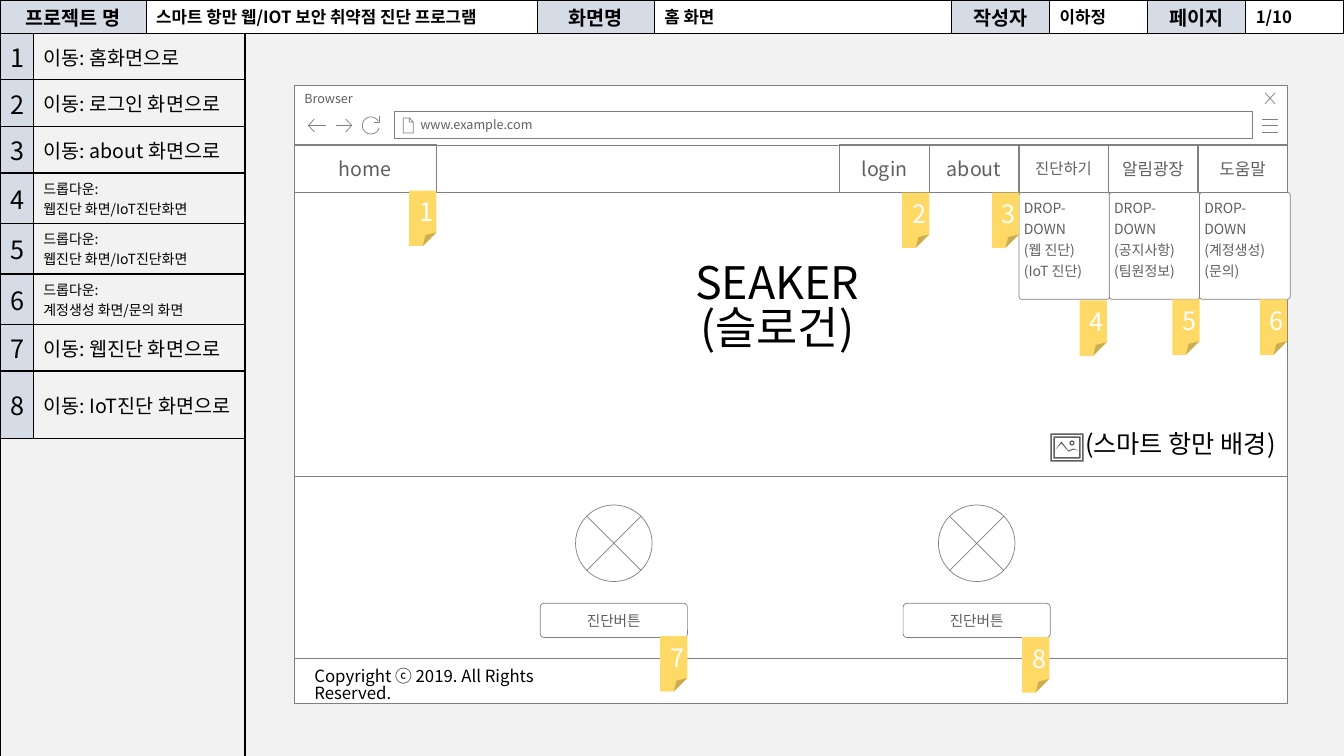
"""Build the home screen wireframe slide of a storyboard deck."""
import math
from dataclasses import dataclass
from typing import NamedTuple
import lxml.etree
import pptx
import pptx.dml.color, pptx.dml.fill, pptx.enum.shapes, pptx.enum.text, pptx.oxml.ns
import pptx.shapes.autoshape, pptx.slide, pptx.table, pptx.text.text, pptx.util

COLUMNS, ROWS = 133.33, 75
CELL = pptx.util.Inches(0.1)
Point = tuple[float, float]
SHAPES = pptx.enum.shapes.MSO_SHAPE
ALIGN = pptx.enum.text.PP_ALIGN
ANCHOR = pptx.enum.text.MSO_ANCHOR
qn = pptx.oxml.ns.qn

@dataclass(frozen=True)
class Theme:
    font: str = "Noto Sans CJK KR"
    black: str = "000000"
    white: str = "FFFFFF"
    page: str = "F2F2F2"
    label: str = "D6DCE5"
    note: str = "FFD966"
    outline: str = "808080"
    muted: str = "5F5F5F"
    hero: float = 32
    large: float = 18
    medium: float = 14
    body: float = 12
    menu: float = 11
    button: float = 10.5
    small: float = 10
    tiny: float = 9
    hairline: float = 0.5
    border: float = 1

THEME = Theme()

class Box(NamedTuple):
    left: float
    top: float
    width: float
    height: float

class Style(NamedTuple):
    size: float
    color: str = THEME.muted
    align: ALIGN = ALIGN.CENTER
    anchor: ANCHOR = ANCHOR.MIDDLE
    insets: tuple[float, float, float, float] = (1, 0.5, 1, 0.5)
    spacing: float = 1
    bold: bool = False

class Label(NamedTuple):
    text: str
    size: float

NAVIGATION = [Label("login", THEME.medium), Label("about", THEME.medium), Label("진단하기", THEME.menu),
              Label("알림광장", THEME.body), Label("도움말", THEME.body)]
MENUS = ["(웹 진단)\n(IoT 진단)", "(공지사항)\n(팀원정보)", "(계정생성)\n(문의)"]
NOTES = [(40.6, 18.9), (89.5, 19.1), (98.4, 19.1), (107.1, 29.8), (116.3, 29.7), (125, 29.7), (65.5, 63.1), (101.4, 63.2)]
ACTIONS = [Label("이동: 홈화면으로", THEME.medium), Label("이동: 로그인 화면으로", THEME.medium),
           Label("이동: about 화면으로", THEME.medium),
           *[Label("드롭다운:\v웹진단 화면/IoT진단화면", THEME.small)] * 2,
           Label("드롭다운:\v계정생성 화면/문의 화면", THEME.small),
           Label("이동: 웹진단 화면으로", THEME.medium), Label("이동: IoT진단 화면으로", THEME.medium)]
HEADINGS = ["프로젝트 명", "스마트 항만 웹/IOT 보안 취약점 진단 프로그램", "화면명", "홈 화면",
            "작성자", "이하정", "페이지", "1/10"]

def cells(count: float) -> int:
    return round(count * CELL)

def paint(fill: pptx.dml.fill.FillFormat, color: str | None) -> None:
    if color is None:
        fill.background()
    else:
        fill.solid()
        fill.fore_color.rgb = pptx.dml.color.RGBColor.from_string(color)

def write(frame: pptx.text.text.TextFrame, text: str, style: Style) -> None:
    frame.text = text
    for paragraph in frame.paragraphs:
        paragraph.alignment, paragraph.line_spacing = style.align, style.spacing
        font = paragraph.font
        font.size, font.bold, font.name = pptx.util.Pt(style.size), style.bold, THEME.font
        paint(font.fill, style.color)
        lxml.etree.SubElement(paragraph._p.pPr.find(qn("a:defRPr")), qn("a:ea"), typeface=THEME.font)

def write_framed(frame: pptx.text.text.TextFrame, text: str, style: Style) -> None:
    frame.word_wrap, frame.vertical_anchor = True, style.anchor
    frame.margin_left, frame.margin_top, frame.margin_right, frame.margin_bottom = map(cells, style.insets)
    write(frame, text, style)

def finish(shape: pptx.shapes.autoshape.Shape, fill: str | None, line: str | None, weight: float) -> None:
    shape.shadow.inherit = False
    paint(shape.fill, fill)
    paint(shape.line.fill, line)
    if line:
        shape.line.width = pptx.util.Pt(weight)

def add_block(slide: pptx.slide.Slide, box: Box, text: str = "", style: Style | None = None,
              fill: str | None = THEME.white, line: str | None = THEME.outline,
              kind: SHAPES = SHAPES.RECTANGLE, corner: float | None = None) -> None:
    shape = slide.shapes.add_shape(kind, *map(cells, box))
    finish(shape, fill, line, THEME.hairline)
    if corner is not None:
        shape._element.spPr.prstGeom.rewrite_guides([("adj", round(corner * 100000))])
    if style:
        write_framed(shape.text_frame, text, style)

def add_caption(slide: pptx.slide.Slide, box: Box, text: str, size: float, align: ALIGN = ALIGN.CENTER) -> None:
    style = Style(size, THEME.black, align, ANCHOR.TOP, spacing=0.83)
    write_framed(slide.shapes.add_textbox(*map(cells, box)).text_frame, text, style)

def add_rule(slide: pptx.slide.Slide, start: Point, end: Point) -> None:
    connector = slide.shapes.add_connector(pptx.enum.shapes.MSO_CONNECTOR.STRAIGHT, *map(cells, start + end))
    paint(connector.line.fill, THEME.outline)
    connector.line.width = pptx.util.Pt(THEME.hairline)
    lxml.etree.SubElement(connector._element.spPr, qn("a:effectLst"))

def add_icon(slide: pptx.slide.Slide, strokes: list[list[Point]], fill: str | None = None) -> None:
    contours = [[(cells(x), cells(y)) for x, y in stroke] for stroke in strokes]
    builder = slide.shapes.build_freeform(*contours[0][0])
    for index, contour in enumerate(contours):
        if index:
            builder.move_to(*contour[0])
        builder.add_line_segments(contour[1:], close=fill is not None)
    finish(builder.convert_to_shape(), fill, None if fill else THEME.outline, THEME.hairline)

def arc(x: float, y: float, radius: float, start: int, end: int) -> list[Point]:
    angles = map(math.radians, range(start, end + 1, 15))
    return [(x + radius * math.cos(angle), y + radius * math.sin(angle)) for angle in angles]

def add_grid(slide: pptx.slide.Slide, box: Box, widths: list[float], heights: list[float]) -> pptx.table.Table:
    table = slide.shapes.add_table(len(heights), len(widths), *map(cells, box)).table
    table.first_row = table.horz_banding = False
    for column, width in zip(table.columns, widths):
        column.width = cells(width)
    for row, height in zip(table.rows, heights):
        row.height = cells(height)
    return table

def fill_cell(cell: pptx.table._Cell, text: str, fill: str, style: Style) -> None:
    paint(cell.fill, fill)
    cell.vertical_anchor = style.anchor
    cell.margin_top = cell.margin_bottom = cells(style.insets[1])
    for index, side in enumerate(("a:lnL", "a:lnR", "a:lnT", "a:lnB")):
        border = lxml.etree.Element(qn(side), w=str(pptx.util.Pt(THEME.border)))
        lxml.etree.SubElement(lxml.etree.SubElement(border, qn("a:solidFill")), qn("a:srgbClr"), val=THEME.black)
        cell._tc.get_or_add_tcPr().insert(index, border)
    if text:
        write(cell.text_frame, text, style)

def draw_tables(slide: pptx.slide.Slide) -> None:
    heights = [4.5 if action.size == THEME.small else 4.2 for action in ACTIONS] + [37.1]
    table = add_grid(slide, Box(0, 3.3, 24.3, 71.5), [3.3, 21], heights)
    for row, action in enumerate(ACTIONS):
        fill_cell(table.cell(row, 0), str(row + 1), THEME.label, Style(THEME.large, THEME.black, ALIGN.LEFT))
        fill_cell(table.cell(row, 1), action.text, THEME.page, Style(action.size, THEME.black, ALIGN.LEFT))
    table.cell(len(ACTIONS), 0).merge(table.cell(len(ACTIONS), 1))
    for column in range(2):
        fill_cell(table.cell(len(ACTIONS), column), "", THEME.page, Style(THEME.large))
    table = add_grid(slide, Box(0, 0, COLUMNS, 3.3), [14.5, 38.8, 11.6, 29.5] + [9.73] * 4, [3.3])
    looks = [(THEME.label, THEME.medium, ALIGN.CENTER), (THEME.white, THEME.body, ALIGN.LEFT)]
    for index, heading in enumerate(HEADINGS):
        fill, size, align = looks[index % 2]
        fill_cell(table.cell(0, index), heading, fill,
                  Style(size, THEME.black, align, insets=(1, 0.2, 1, 0.2), bold=True))

def draw_browser(slide: pptx.slide.Slide) -> None:
    add_block(slide, Box(29.2, 14.3, 98.5, 55.5))
    add_block(slide, Box(29.2, 8.5, 98.5, 5.9), "Browser", Style(THEME.tiny, align=ALIGN.LEFT, anchor=ANCHOR.TOP))
    add_block(slide, Box(39.1, 11.1, 85.1, 2.6), "www.example.com",
              Style(THEME.tiny, align=ALIGN.LEFT, insets=(2.6, 0.5, 1, 0.5)))
    add_icon(slide, [[(125.2, y), (126.8, y)] for y in (11.8, 12.45, 13.1)])
    add_icon(slide, [[(125.5, 9.2), (126.5, 10.3)], [(126.5, 9.2), (125.5, 10.3)]])
    add_icon(slide, [[(40.6, 11.7), (40.6, 12.1), (41, 12.1), (41, 13.2), (40, 13.2), (40, 11.7), (40.6, 11.7), (41, 12.1)]])
    for tip, bend, tail in ((30.6, 31.2, 32.3), (34.9, 34.3, 33.3)):
        add_icon(slide, [[(bend, 11.8), (tip, 12.45), (bend, 13.1)], [(tip, 12.45), (tail, 12.45)]])
    add_icon(slide, [[(37.6, 11.5), (37.6, 12.1), (37.1, 12.1)], arc(36.8, 12.45, 0.85, 15, 330)])

def draw_content(slide: pptx.slide.Slide) -> None:
    add_block(slide, Box(29.2, 19.1, 98.5, 28.2), fill=None)
    add_rule(slide, (29.2, 19.1), (127.8, 19.1))
    add_rule(slide, (29.3, 65.3), (127.7, 65.3))
    rings = [[(104.2 + d, 43 + d), (104.2 + d, 45.8 - d), (107.5 - d, 45.8 - d), (107.5 - d, 43 + d)]
             for d in (0, 0.15, 0.3, 0.45)]
    hills = [[(104.7, 44.6 + d), (105.3, 43.8 + d), (106, 44.7 + d), (106.5, 44.5 + d), (107, 44.7 + d),
              (106.5, 44.6 + d), (106, 44.8 + d), (105.3, 44 + d)] for d in (0,)]
    add_icon(slide, rings + hills + [arc(106.35, 43.95, radius, 0, 345) for radius in (0.25, 0.12)], THEME.muted)
    add_caption(slide, Box(66.5, 25.7, 21.2, 11.8), "SEAKER\n(슬로건)", THEME.hero)
    add_caption(slide, Box(105.6, 42.5, 23, 4), "(스마트 항만 배경)", THEME.large)
    for left in (53.6, 89.6):
        add_block(slide, Box(left, 59.85, 14.6, 3.4), "진단버튼", Style(THEME.button, insets=(1, 0.7, 1, 0.7)),
                  kind=SHAPES.ROUNDED_RECTANGLE, corner=0.11)
        add_block(slide, Box(left + 3.5, 50.1, 7.6, 7.6), kind=SHAPES.OVAL)
        for start, end in ((51.2, 56.6), (56.6, 51.2)):
            add_rule(slide, (left + 4.6, start), (left + 10, end))
    add_caption(slide, Box(30.2, 65.9, 30.3, 3), "Copyright ⓒ 2019. All Rights Reserved.", THEME.body, ALIGN.LEFT)

def draw_navigation(slide: pptx.slide.Slide) -> None:
    add_block(slide, Box(29.2, 14.3, 14.1, 4.8), "home", Style(THEME.medium), None)
    for index, item in enumerate(NAVIGATION):
        add_block(slide, Box(83.3 + 8.88 * index, 14.3, 8.9, 4.8), item.text, Style(item.size), None)
    menu = Style(THEME.small, align=ALIGN.LEFT, anchor=ANCHOR.TOP, insets=(0.4, 0.2, 0.4, 0.2), spacing=1.25)
    for index, entries in enumerate(MENUS):
        add_block(slide, Box(101.1 + 8.95 * index, 19.1, 9, 10.6), "DROP-DOWN\n" + entries, menu,
                  kind=SHAPES.ROUNDED_RECTANGLE, corner=0.03)
    for number, (left, top) in enumerate(NOTES, 1):
        add_block(slide, Box(left, top, 2.7, 5.5), str(number), Style(THEME.large, THEME.white), THEME.note, None,
                  SHAPES.FOLDED_CORNER, 0.5)

def main() -> None:
    presentation = pptx.Presentation()
    presentation.slide_width, presentation.slide_height = cells(COLUMNS), cells(ROWS)
    slide = presentation.slides.add_slide(presentation.slide_layouts[6])
    paint(slide.background.fill, THEME.page)
    for draw in (draw_tables, draw_browser, draw_content, draw_navigation):
        draw(slide)
    presentation.save("out.pptx")

if __name__ == "__main__":
    main()
